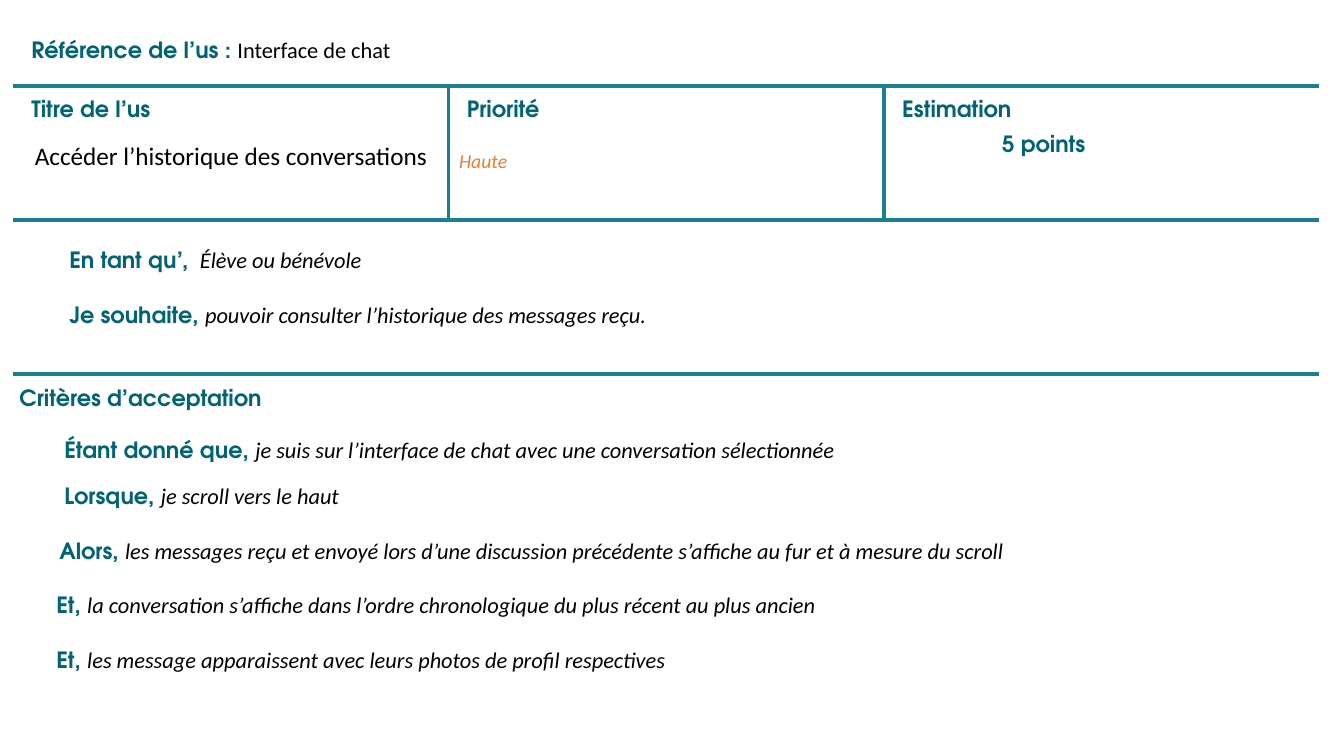
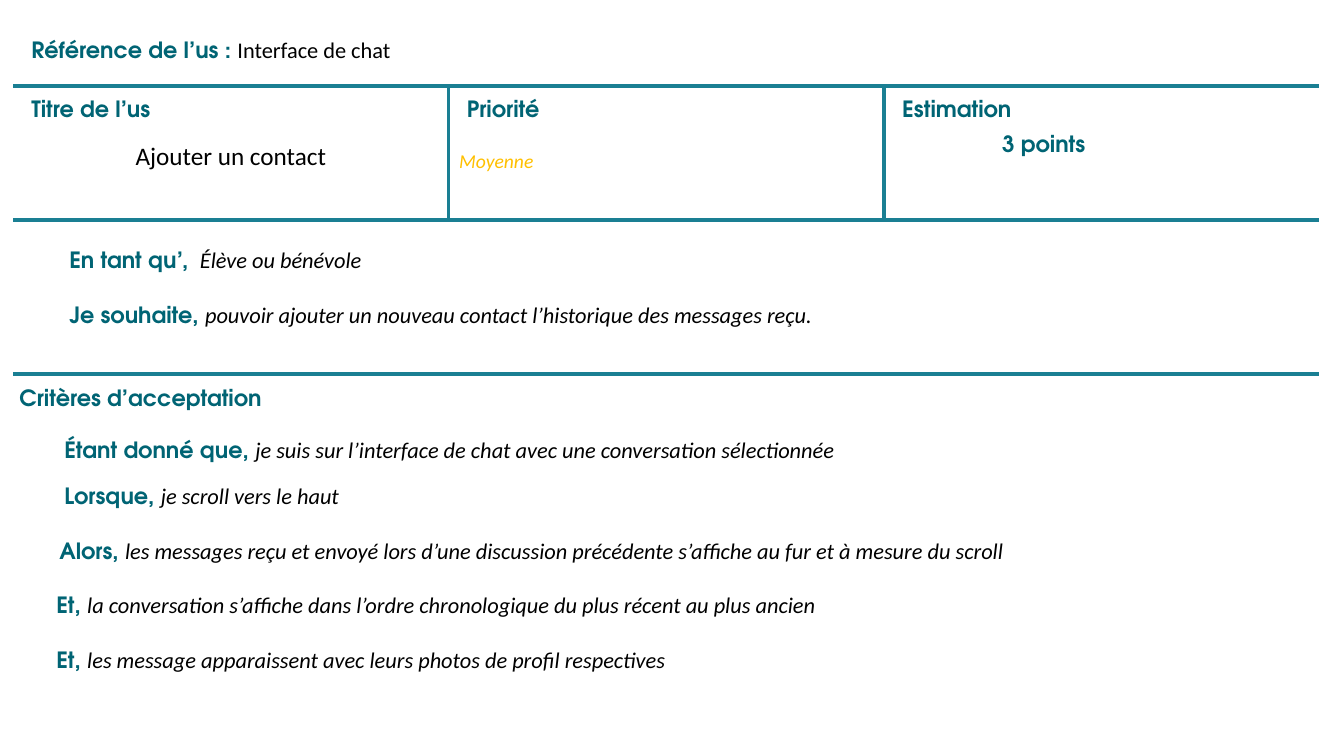
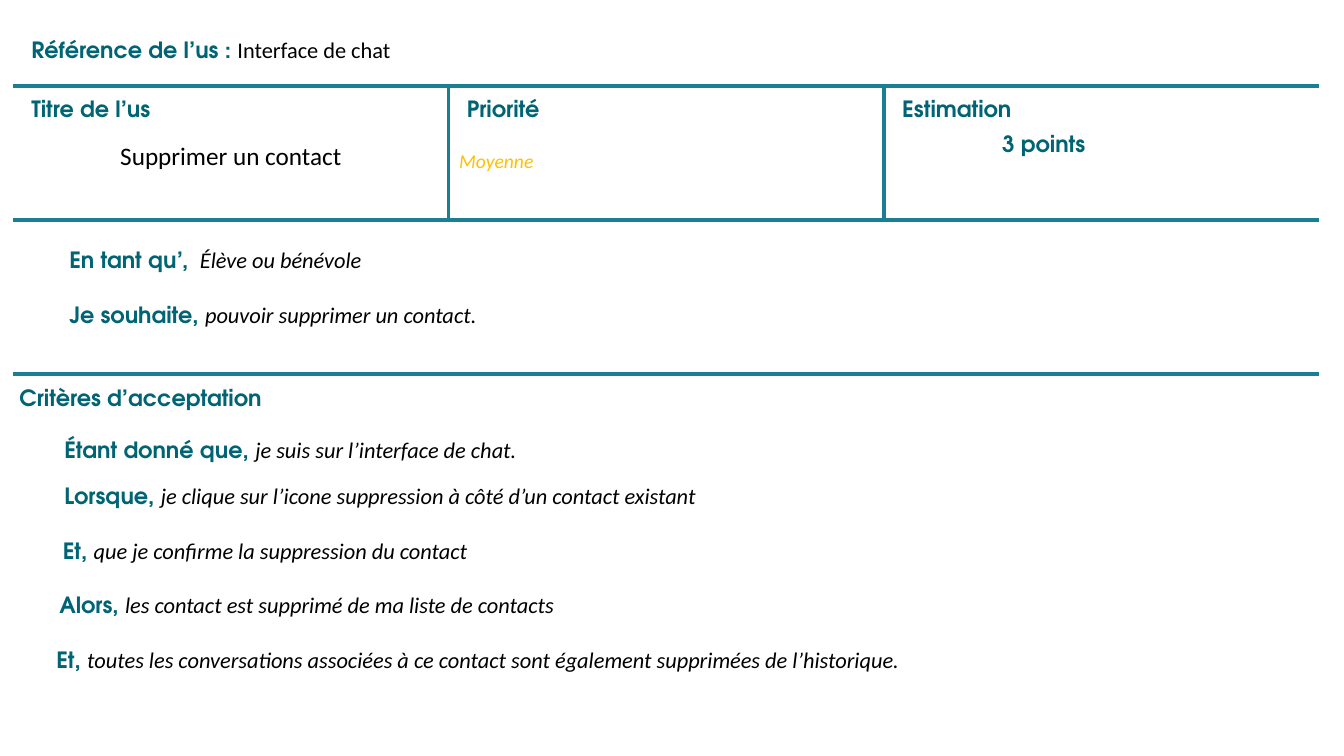
"""Build three user story cards, each one a ruled table."""
import pptx
import pptx.dml.color
import pptx.enum.text
import pptx.oxml
import pptx.oxml.ns
import pptx.util

Pt = pptx.util.Pt

TEAL, RULE, BLACK, WHITE = "006474", "1A7F93", "000000", "FFFFFF"
LABEL_FONT, BODY_FONT = "TeX Gyre Adventor", "Calibri"
PRIORITY_COLORS = {"Haute": "ED7D31", "Moyenne": "FFC000"}
NO_STYLE = "{2D5ABB26-0587-4C30-8999-92F81FD0307C}"

TABLE_LEFT, TABLE_TOP = 9.4, 12.2
COLUMN_WIDTH = 311
ROW_HEIGHTS = [49.3, 95.7, 110.1, 227]
ROW_TOP_MARGINS = [14.6, 11, 19.5, 11]
ROW_BORDERS = ["B", "TB", "TB", "T"]
SIDE_MARGIN, LABEL_INDENT = 4.5, 8.6
LINE_GAP = 19.5
CRITERIA_GAPS = [19, 13.4, LINE_GAP, LINE_GAP, LINE_GAP]

REFERENCE = ("Référence de l’us\u00a0: ", "Interface de chat")
ROLE = ("En tant qu’, ", "\u00a0Élève ou bénévole")
HISTORY_CRITERIA = [
    (32.1, "Étant donné que, ", "je suis sur l’interface de chat avec une conversation sélectionnée"),
    (32.1, "Lorsque, ", "je scroll vers le haut"),
    (28.5, "Alors, ", "les messages reçu et envoyé lors d’une discussion précédente "
                      "s’affiche au fur et à mesure du scroll"),
    (26.4, "Et, ", "la conversation s’affiche dans l’ordre chronologique du plus récent au plus ancien"),
    (26.4, "Et, ", "les message apparaissent avec leurs photos de profil respectives"),
]
DELETION_CRITERIA = [
    (32.1, "Étant donné que, ", "je suis sur l’interface de chat."),
    (32.1, "Lorsque, ", "je clique sur l’icone suppression à côté d’un contact existant"),
    (31, "Et, ", "que je confirme la suppression du contact"),
    (28.5, "Alors, ", "les contact est supprimé de ma liste de contacts"),
    (26.4, "Et, ", "toutes les conversations associées à ce contact sont également "
                   "supprimées de l’historique."),
]
STORIES = [
    {"title": "Accéder l’historique des conversations", "priority": "Haute", "estimate": "5 points",
     "wish": "pouvoir consulter l’historique des messages reçu.", "criteria": HISTORY_CRITERIA},
    {"title": "Ajouter un contact", "priority": "Moyenne", "estimate": "3 points",
     "wish": "pouvoir ajouter un nouveau contact l’historique des messages reçu.",
     "criteria": HISTORY_CRITERIA},
    {"title": "Supprimer un contact", "priority": "Moyenne", "estimate": "3 points",
     "wish": "pouvoir supprimer un contact.", "criteria": DELETION_CRITERIA},
]


def rgb(value):
    return pptx.dml.color.RGBColor.from_string(value)


def add_run(paragraph, text, size=16, font=BODY_FONT, color=BLACK, bold=False, italic=False):
    run = paragraph.add_run()
    run.text = text
    run.font.size, run.font.name = Pt(size), font
    run.font.bold, run.font.italic = bold, italic
    run.font.color.rgb = rgb(color)


def add_label(paragraph, text):
    add_run(paragraph, text, font=LABEL_FONT, color=TEAL, bold=True)


def add_paragraph(cell, gap=0, indent=0):
    frame = cell.text_frame
    first = frame.paragraphs[0]
    paragraph = frame.add_paragraph() if first.runs else first
    if gap:
        paragraph.space_before = Pt(gap)
    properties = paragraph._p.get_or_add_pPr()
    properties.set("marL", str(Pt(indent)))
    properties.set("indent", "0")
    return paragraph


def add_statement(cell, label, text, gap=0, indent=0, italic=True):
    paragraph = add_paragraph(cell, gap, indent)
    add_label(paragraph, label)
    if text:
        add_run(paragraph, text, italic=italic)


def format_cell(cell, sides, top_margin):
    cell.margin_left = cell.margin_right = Pt(SIDE_MARGIN)
    cell.margin_top, cell.margin_bottom = Pt(top_margin), 0
    properties = cell._tc.get_or_add_tcPr()
    for side in "LRTB":
        if side in sides:
            properties.append(pptx.oxml.parse_xml(
                f'<a:ln{side} {pptx.oxml.ns.nsdecls("a")} w="{Pt(3)}"><a:solidFill>'
                f'<a:srgbClr val="{RULE}"/></a:solidFill></a:ln{side}>'))
    cell.fill.solid()
    cell.fill.fore_color.rgb = rgb(WHITE)


def add_card_table(slide):
    frame = slide.shapes.add_table(len(ROW_HEIGHTS), 3, Pt(TABLE_LEFT), Pt(TABLE_TOP),
                                   Pt(3 * COLUMN_WIDTH), Pt(sum(ROW_HEIGHTS)))
    table = frame.table
    table.first_row = table.horz_banding = False
    table._tbl.tblPr.find(pptx.oxml.ns.qn("a:tableStyleId")).text = NO_STYLE
    for column in table.columns:
        column.width = Pt(COLUMN_WIDTH)
    for row_index, row in enumerate(table.rows):
        row.height = Pt(ROW_HEIGHTS[row_index])
        for column_index, cell in enumerate(row.cells):
            sides = ROW_BORDERS[row_index]
            if row_index == 1:
                sides += ("R", "LR", "L")[column_index]
            format_cell(cell, sides, ROW_TOP_MARGINS[row_index])
        if row_index != 1:
            table.cell(row_index, 0).merge(table.cell(row_index, 2))
    return table


def add_story(presentation, story):
    slide = presentation.slides.add_slide(presentation.slide_layouts[6])
    table = add_card_table(slide)
    reference, wish, criteria = (table.cell(row, 0) for row in (0, 2, 3))
    title, priority, estimate = (table.cell(1, column) for column in range(3))

    add_statement(reference, *REFERENCE, indent=LABEL_INDENT, italic=False)
    for cell, label in ((title, "Titre de l’us"), (priority, "Priorité"), (estimate, "Estimation")):
        add_statement(cell, label, "", indent=LABEL_INDENT)

    paragraph = add_paragraph(title, gap=14)
    paragraph.alignment = pptx.enum.text.PP_ALIGN.CENTER
    add_run(paragraph, story["title"], size=18)
    add_run(add_paragraph(priority, gap=LINE_GAP, indent=3), story["priority"], size=14,
            color=PRIORITY_COLORS[story["priority"]], italic=True)
    add_statement(estimate, story["estimate"], "", gap=9.8, indent=80)

    add_statement(wish, *ROLE, indent=35.7)
    add_statement(wish, "Je souhaite, ", story["wish"], gap=LINE_GAP, indent=35.7)

    add_statement(criteria, "Critères d’acceptation", "")
    for gap, (indent, label, text) in zip(CRITERIA_GAPS, story["criteria"]):
        add_statement(criteria, label, text, gap=gap, indent=indent)


presentation = pptx.Presentation()
presentation.slide_width, presentation.slide_height = Pt(960), Pt(540)
for story in STORIES:
    add_story(presentation, story)
presentation.save("out.pptx")
